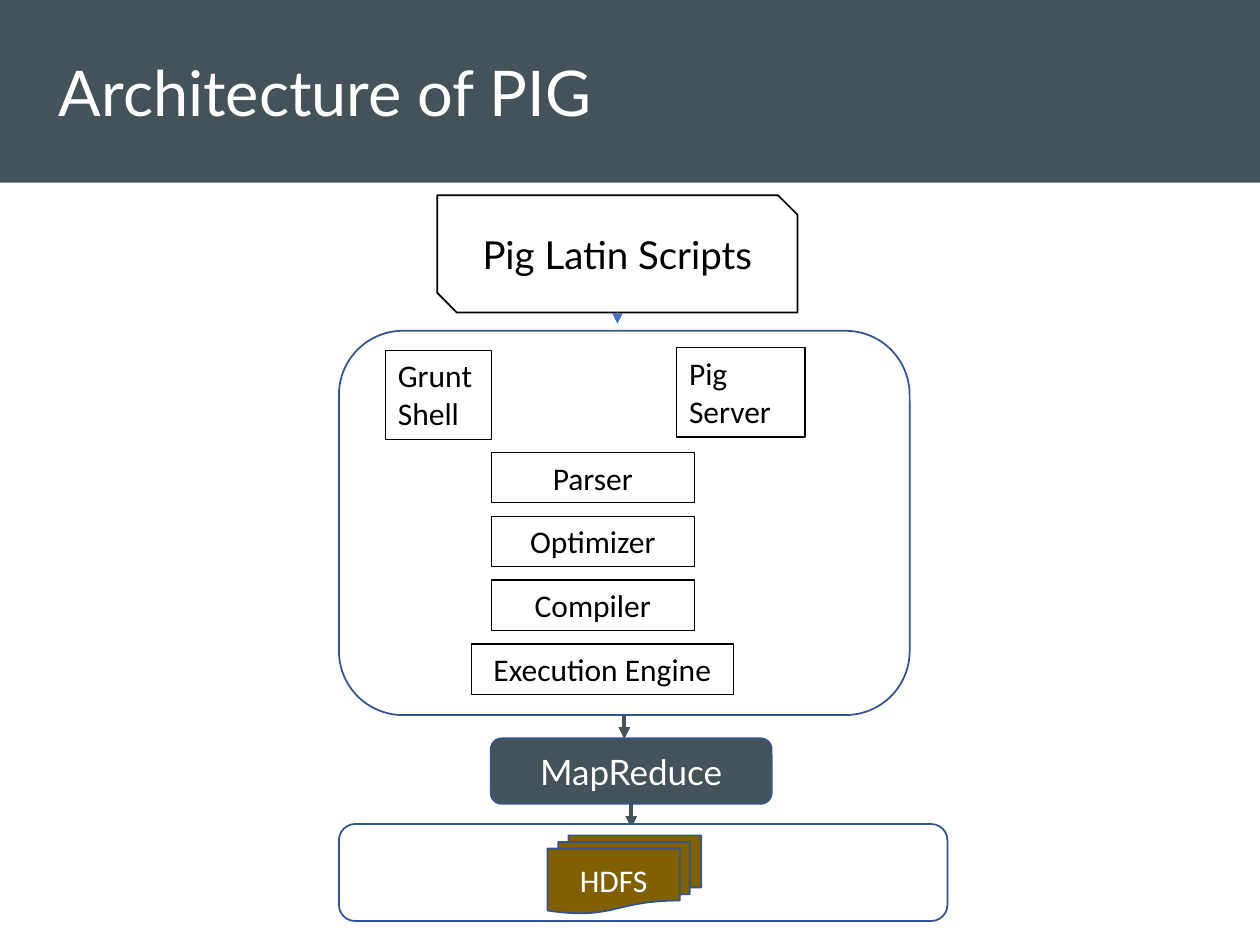
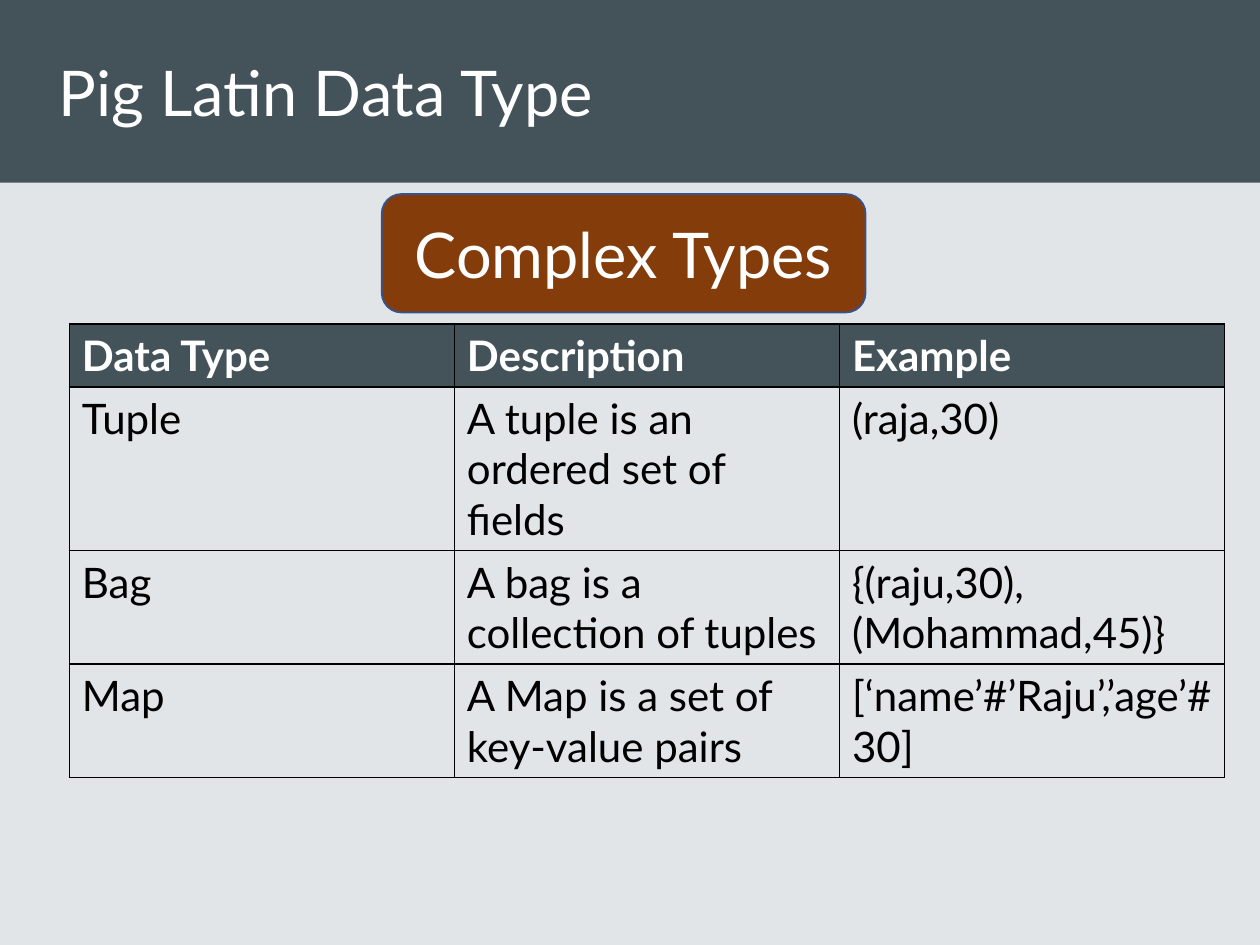
from dataclasses import dataclass

from lxml.etree import SubElement
from pptx import Presentation
from pptx.dml.color import RGBColor
from pptx.enum.shapes import MSO_CONNECTOR, MSO_SHAPE
from pptx.enum.text import MSO_ANCHOR, MSO_AUTO_SIZE, PP_ALIGN
from pptx.oxml.ns import qn
from pptx.util import Inches, Pt


@dataclass(frozen=True)
class Theme:
    slate: str = "44525A"
    white: str = "FFFFFF"
    black: str = "000000"
    outline: str = "325491"
    blue: str = "4472C4"
    olive: str = "806000"
    rust: str = "843C0B"
    mist: str = "E2E5E8"
    heading_font: str = "Lato"
    body_font: str = "Calibri"
    title_size: int = 36
    table_size: int = 24
    script_size: int = 22
    engine_size: int = 20
    step_size: int = 18


theme = Theme()
presentation = Presentation()
presentation.slide_width = Inches(10)
presentation.slide_height = Inches(7.5)
# The grid has 100 columns and 75 rows
COLUMN = presentation.slide_width / 100
ROW = presentation.slide_height / 75


def add_box(slide, kind, place, text="", fill=None, line=None, weight=1, color=theme.white,
            font=theme.heading_font, size=theme.title_size, align=PP_ALIGN.CENTER, frame_format=None):
    """Add a preset shape; place is left, top, width, height in grid units."""
    left, top, width, height = place
    shape = slide.shapes.add_shape(kind, int(left * COLUMN), int(top * ROW),
                                   int(width * COLUMN), int(height * ROW))
    shape.shadow.inherit = False
    if fill:
        shape.fill.solid()
        shape.fill.fore_color.rgb = RGBColor.from_string(fill)
    else:
        shape.fill.background()
    if line:
        shape.line.color.rgb = RGBColor.from_string(line)
        shape.line.width = Pt(weight)
    else:
        shape.line.fill.background()
    if text:
        frame = shape.text_frame
        frame_values = {"word_wrap": True, "vertical_anchor": MSO_ANCHOR.MIDDLE, **(frame_format or {})}
        for name, value in frame_values.items():
            setattr(frame, name, value)
        paragraph = frame.paragraphs[0]
        paragraph.text = text
        paragraph.alignment = align
        for name, value in {"name": font, "size": Pt(size)}.items():
            setattr(paragraph.font, name, value)
        paragraph.font.color.rgb = RGBColor.from_string(color)
    return shape


def add_arrow_below(slide, shape, rows, color, weight, join=True):
    """Point an arrow down from the middle of the shape's lower side."""
    middle = shape.left + shape.width // 2
    bottom = shape.top + shape.height
    connector = slide.shapes.add_connector(MSO_CONNECTOR.STRAIGHT, middle, bottom,
                                           middle, int(bottom + rows * ROW))
    if join:
        connector.begin_connect(shape, 2)
    connector.line.color.rgb = RGBColor.from_string(color)
    connector.line.width = Pt(weight)
    SubElement(connector.line._get_or_add_ln(), qn("a:tailEnd"), type="triangle")
    SubElement(connector._element.spPr, qn("a:effectLst"))


# Both slides: background, band and title
slides = []
for title, background in (("Architecture of PIG", theme.white), ("Pig Latin Data Type", theme.mist)):
    slide = presentation.slides.add_slide(presentation.slide_layouts[6])
    slide.background.fill.solid()
    slide.background.fill.fore_color.rgb = RGBColor.from_string(background)
    add_box(slide, MSO_SHAPE.RECTANGLE, (0, 0, 100, 14.5), fill=theme.slate)
    add_box(slide, MSO_SHAPE.RECTANGLE, (3.7, 0, 91.7, 14.5), title, align=PP_ALIGN.LEFT)
    slides.append(slide)
architecture, data_types = slides

# Architecture: scripts at the top, then the Pig container with its steps
scripts = add_box(architecture, MSO_SHAPE.SNIP_2_DIAG_RECTANGLE, (34.7, 15.5, 28.6, 9.3),
                  "Pig Latin Scripts", fill=theme.white, line=theme.black,
                  color=theme.black, size=theme.script_size)
container = add_box(architecture, MSO_SHAPE.ROUNDED_RECTANGLE, (26.9, 26.25, 45.3, 30.5),
                    fill=theme.white, line=theme.outline)

step_format = {
    "line": theme.black, "weight": 0.75, "color": theme.black,
    "font": theme.body_font, "size": theme.step_size,
    "frame_format": {"vertical_anchor": MSO_ANCHOR.TOP, "auto_size": MSO_AUTO_SIZE.SHAPE_TO_FIT_TEXT},
}
entry_points = (("Grunt Shell", (30.6, 27.8, 8.4, 7.1)), ("Pig Server", (53.7, 27.6, 10.2, 7.1)))
for text, place in entry_points:
    add_box(architecture, MSO_SHAPE.RECTANGLE, place, text, align=PP_ALIGN.LEFT, **step_format)

FIRST_STEP_TOP, STEP_PITCH = 35.9, 5.07
steps = (("Parser", 39, 16.1), ("Optimizer", 39, 16.1), ("Compiler", 39, 16.1),
         ("Execution Engine", 37.4, 20.8))
for index, (text, left, width) in enumerate(steps):
    place = (left, FIRST_STEP_TOP + index * STEP_PITCH, width, 4)
    add_box(architecture, MSO_SHAPE.RECTANGLE, place, text, **step_format)

# Architecture: flow down to MapReduce and storage
add_arrow_below(architecture, scripts, 0.9, theme.blue, 0.5, join=False)
add_arrow_below(architecture, container, 1.9, theme.slate, 2.25)
map_reduce = add_box(architecture, MSO_SHAPE.ROUNDED_RECTANGLE, (38.95, 58.6, 22.3, 5.2), "MapReduce",
                     fill=theme.slate, line=theme.outline, size=theme.engine_size)
add_arrow_below(architecture, map_reduce, 1.9, theme.slate, 2.25)
add_box(architecture, MSO_SHAPE.ROUNDED_RECTANGLE, (26.9, 65.4, 48.3, 7.7),
        fill=theme.white, line=theme.outline)
add_box(architecture, MSO_SHAPE.FLOWCHART_MULTIDOCUMENT, (43.45, 66.3, 12.2, 6.2), "HDFS",
        fill=theme.olive, line=theme.outline, font=theme.body_font, size=theme.step_size)

# Data types: table and its heading
rows = (
    ("Data Type", "Description", "Example"),
    ("Tuple", "A tuple is an ordered set of fields", "(raja,30)"),
    ("Bag", "A bag is a collection of tuples", "{(raju,30),(Mohammad,45)}"),
    ("Map", "A Map is a set of key-value pairs", "[‘name’#’Raju’,’age’#30]"),
)
row_heights = (5, 13, 9, 9)
TABLE_WIDTH = 91.7
table = data_types.shapes.add_table(len(rows), len(rows[0]), int(5.5 * COLUMN), int(25.7 * ROW),
                                    int(TABLE_WIDTH * COLUMN), int(sum(row_heights) * ROW)).table
table.horz_banding = False
for column in table.columns:
    column.width = int(TABLE_WIDTH * COLUMN / len(rows[0]))

for row_index, (texts, height) in enumerate(zip(rows, row_heights)):
    table.rows[row_index].height = int(height * ROW)
    is_header = row_index == 0
    for column_index, text in enumerate(texts):
        cell = table.cell(row_index, column_index)
        properties = cell._tc.get_or_add_tcPr()
        for side in ("lnL", "lnR", "lnT", "lnB"):
            border = SubElement(properties, qn(f"a:{side}"), w=str(Pt(1)))
            SubElement(SubElement(border, qn("a:solidFill")), qn("a:srgbClr"), val=theme.black)
        if is_header:
            cell.fill.solid()
            cell.fill.fore_color.rgb = RGBColor.from_string(theme.slate)
        else:
            cell.fill.background()
        cell.text = text
        font = cell.text_frame.paragraphs[0].font
        font_values = {"name": theme.heading_font, "size": Pt(theme.table_size), "bold": is_header}
        for name, value in font_values.items():
            setattr(font, name, value)
        font.color.rgb = RGBColor.from_string(theme.white if is_header else theme.black)

add_box(data_types, MSO_SHAPE.FLOWCHART_ALTERNATE_PROCESS, (30.3, 15.4, 38.4, 9.4), "Complex Types",
        fill=theme.rust, line=theme.outline)

presentation.save("out.pptx")
